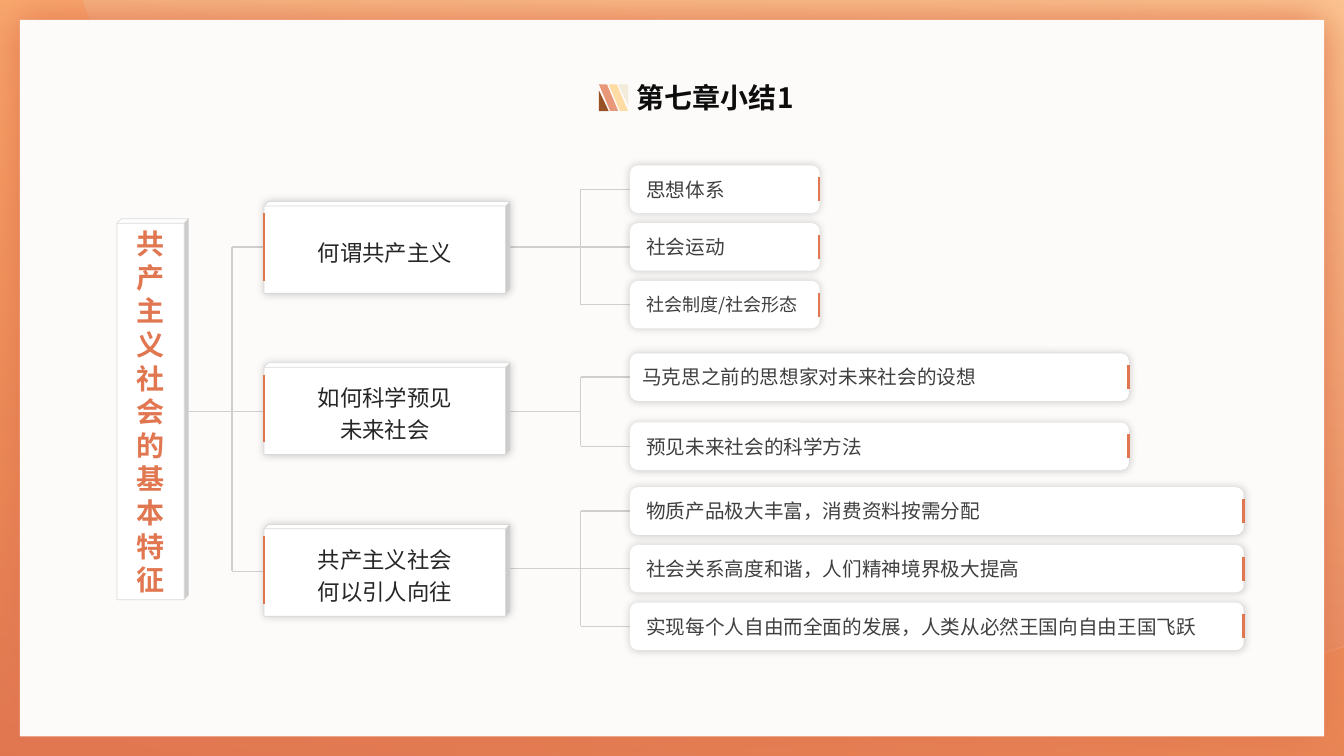
from lxml import etree
from pptx import Presentation
from pptx.dml.color import RGBColor
from pptx.enum.shapes import MSO_CONNECTOR, MSO_SHAPE
from pptx.enum.text import MSO_ANCHOR, PP_ALIGN
from pptx.oxml.ns import qn
from pptx.util import Pt

RECT, ROUND_RECT = MSO_SHAPE.RECTANGLE, MSO_SHAPE.ROUNDED_RECTANGLE
CUBE, STRIPE, TRIANGLE = MSO_SHAPE.CUBE, MSO_SHAPE.PARALLELOGRAM, MSO_SHAPE.RIGHT_TRIANGLE
STRAIGHT, MIDDLE = MSO_CONNECTOR.STRAIGHT, MSO_ANCHOR.MIDDLE
LEFT, CENTER = PP_ALIGN.LEFT, PP_ALIGN.CENTER

FONT = "Noto Sans CJK SC"
COLORS = {
    "accent": "E17751", "orange": "FD7201", "peach": "FDD5A6", "paper": "FDFBF9",
    "white": "FFFFFF", "black": "000000", "edge": "D9D9D9", "branch": "D0CECE",
    "title": "0D0D0D", "topic": "262626", "leaf": "404040",
    "yellow": "FEDCA3", "cream": "F2EBD9", "salmon": "E89779", "brown": "985125",
}

TOPIC_X, TOPIC_W, TOPIC_H = 188.6, 175.7, 65.5
LEAF_X, LEAF_H = 450, 34
LEAF_TRUNK_X, LEAF_STEM_X = 414.7, 361.4
ROOT_TRUNK_X, ROOT_STEM_X, ROOT_Y = 165.6, 134.6, 293.8

# topic lines, topic top, branch height, leaf width, first leaf centre, leaf step,
# leaves as (text, size, left margin)
BRANCHES = [
    (["何谓共产主义"], 144, 176.4, 135.4, 135.2, 41.2,
     [("思想体系", 14, 2.9), ("社会运动", 14, 2.9), ("社会制度/社会形态", 12.9, 2.9)]),
    (["如何科学预见", "未来社会"], 259.2, 293.8, 356.4, 269.4, 49.4,
     [("马克思之前的思想家对未来社会的设想", 14, 0),
      ("预见未来社会的科学方法", 14, 2.9)]),
    (["共产主义社会", "何以引人向往"], 374.6, 408.2, 438.4, 365, 41.2,
     [("物质产品极大丰富，消费资料按需分配", 14, 2.9),
      ("社会关系高度和谐，人们精神境界极大提高", 14, 2.9),
      ("实现每个人自由而全面的发展，人类从必然王国向自由王国飞跃", 14, 2.9)]),
]


def rgb(name):
    return RGBColor.from_string(COLORS[name])


def add_block(slide, kind, x, y, w, h, fill, edge=None, adjust=None):
    block = slide.shapes.add_shape(kind, Pt(x), Pt(y), Pt(w), Pt(h))
    block.shadow.inherit = False
    block.fill.solid()
    block.fill.fore_color.rgb = rgb(fill)
    if edge:
        block.line.color.rgb = rgb(edge)
        block.line.width = Pt(0.5)
    else:
        block.line.fill.background()
    if adjust is not None:
        block.adjustments[0] = adjust
    return block


def add_glow(shape, color="black", alpha=20, blur=6, direction=315):
    """Put an undisplaced soft shadow around a shape."""
    effects = shape.element.spPr.find(qn("a:effectLst"))
    glow = etree.SubElement(effects, qn("a:outerShdw"), blurRad=str(Pt(blur)), dist="0",
                            dir=str(direction * 60000), algn="ctr", rotWithShape="0")
    tint = etree.SubElement(glow, qn("a:srgbClr"), val=COLORS[color])
    etree.SubElement(tint, qn("a:alpha"), val=str(alpha * 1000))


def fill_gradient(shape, end):
    """Fade upwards from the accent colour to a half-transparent end colour."""
    shape.fill.gradient()
    shape.fill.gradient_angle = 80
    for stop, name, position in zip(shape.fill.gradient_stops, ("accent", end), (0, 1)):
        stop.color.rgb = rgb(name)
        stop.position = position
    tint = shape.element.spPr.findall(".//" + qn("a:srgbClr"))[-1]
    etree.SubElement(tint, qn("a:alpha"), val="50000")


def add_line(slide, x1, y1, x2, y2, color="branch", width=1):
    line = slide.shapes.add_connector(STRAIGHT, Pt(x1), Pt(y1), Pt(x2), Pt(y2))
    line.line.color.rgb = rgb(color)
    line.line.width = Pt(width)
    etree.SubElement(line.element.spPr, qn("a:effectLst"))


def write(shape, lines, size, color, bold=False, align=LEFT, spacing=None, margin=0):
    frame = shape.text_frame
    frame.word_wrap = True
    frame.text = "\n".join(lines)
    for paragraph in frame.paragraphs:
        paragraph.alignment = align
        if spacing:
            paragraph.line_spacing = spacing
        if margin:
            properties = paragraph._p.get_or_add_pPr()
            properties.set("marL", str(Pt(margin)))
            properties.set("indent", "0")
        for run in paragraph.runs:
            run.font.size, run.font.bold = Pt(size), bold
            run.font.name = FONT
            run.font.color.rgb = rgb(color)
            etree.SubElement(run._r.get_or_add_rPr(), qn("a:ea"), typeface=FONT)


def curve(p0, p1, p2, p3, steps=24):
    """Points along a cubic Bezier curve, without its start."""
    points = []
    for i in range(1, steps + 1):
        t = i / steps
        weights = ((1 - t) ** 3, 3 * t * (1 - t) ** 2, 3 * t * t * (1 - t), t ** 3)
        points.append(tuple(sum(w * p[axis] for w, p in zip(weights, (p0, p1, p2, p3)))
                            for axis in (0, 1)))
    return points


def add_backdrop(slide):
    fill_gradient(add_block(slide, RECT, 0, 0, 960, 540, "accent"), "orange")

    right, bottom, left = (946.8, 465.1), (735.8, 496.8), (70.6, 31.7)
    outline = [(960, 0), (960, 460.8), right]
    outline += curve(right, (879.8, 486), (809.3, 496.8), bottom)
    outline += curve(bottom, (429.8, 496.8), (169.9, 303.1), left)
    builder = slide.shapes.build_freeform(Pt(59.8), 0)
    builder.add_line_segments([(Pt(x), Pt(y)) for x, y in outline], close=True)
    sweep = builder.convert_to_shape()
    sweep.shadow.inherit = False
    sweep.line.fill.background()
    fill_gradient(sweep, "peach")

    paper = add_block(slide, RECT, 14.2, 14.2, 931.6, 511.8, "paper")
    add_glow(paper, "accent", 100, 30, 0)


def add_heading(slide):
    heading = slide.shapes.add_textbox(Pt(447.8), Pt(54), Pt(178.6), Pt(31.5))
    write(heading, ["第七章小结1"], 20, "title", bold=True)
    for x, stripe_color, corner_x, corner_y, corner_color, turn in (
            (434.8, "yellow", 441.6, 60.3, "cream", 180),
            (427.8, "salmon", 427.8, 64.6, "brown", 0)):
        stripe = add_block(slide, STRIPE, x, 60.3, 13.8, 19, stripe_color, adjust=0.585)
        stripe.element.spPr.find(qn("a:xfrm")).set("flipH", "1")
        corner = add_block(slide, TRIANGLE, corner_x, corner_y, 7, 14.8, corner_color)
        corner.rotation = turn


def add_bracket(slide, trunk_x, child_x, child_ys, stem_x, stem_y):
    for y in child_ys:
        add_line(slide, child_x, y, trunk_x, y)
    add_line(slide, trunk_x, child_ys[0], trunk_x, child_ys[-1])
    add_line(slide, trunk_x, stem_y, stem_x, stem_y)


def add_topic(slide, lines, top):
    topic = add_block(slide, CUBE, TOPIC_X, top, TOPIC_W, TOPIC_H, "white", "edge", 0.048)
    add_glow(topic)
    topic.text_frame.vertical_anchor = MIDDLE
    write(topic, lines, 16, "topic", align=CENTER, spacing=1.2)
    add_line(slide, TOPIC_X, top + 8.4, TOPIC_X, top + 56.6, "accent", 2)


def add_leaf(slide, text, size, margin, center, width):
    leaf = add_block(slide, ROUND_RECT, LEAF_X, center - LEAF_H / 2, width, LEAF_H, "white")
    add_glow(leaf)
    leaf.text_frame.vertical_anchor = MIDDLE
    write(leaf, [text], size, "leaf", margin=margin)
    mark_x = LEAF_X + width - 0.4
    add_line(slide, mark_x, center - 8.5, mark_x, center + 8.5, "accent", 2)


def main():
    deck = Presentation()
    deck.slide_width, deck.slide_height = Pt(960), Pt(540)
    slide = deck.slides.add_slide(deck.slide_layouts[6])
    add_backdrop(slide)
    add_heading(slide)

    topic_ys = [branch[2] for branch in BRANCHES]
    add_bracket(slide, ROOT_TRUNK_X, TOPIC_X, topic_ys, ROOT_STEM_X, ROOT_Y)
    for lines, top, _, width, first, step, leaves in BRANCHES:
        centers = [first + step * i for i in range(len(leaves))]
        stem_y = (centers[0] + centers[-1]) / 2
        add_bracket(slide, LEAF_TRUNK_X, LEAF_X, centers, LEAF_STEM_X, stem_y)
        add_topic(slide, lines, top)
        for (text, size, margin), center in zip(leaves, centers):
            add_leaf(slide, text, size, margin, center, width)

    root = add_block(slide, CUBE, 83.5, 156.2, 51.1, 272.2, "white", "edge", 0.063)
    root.text_frame.vertical_anchor = MIDDLE
    write(root, ["共产主义社会的基本特征"], 20, "accent", bold=True, align=CENTER)
    deck.save("out.pptx")


if __name__ == "__main__":
    main()
